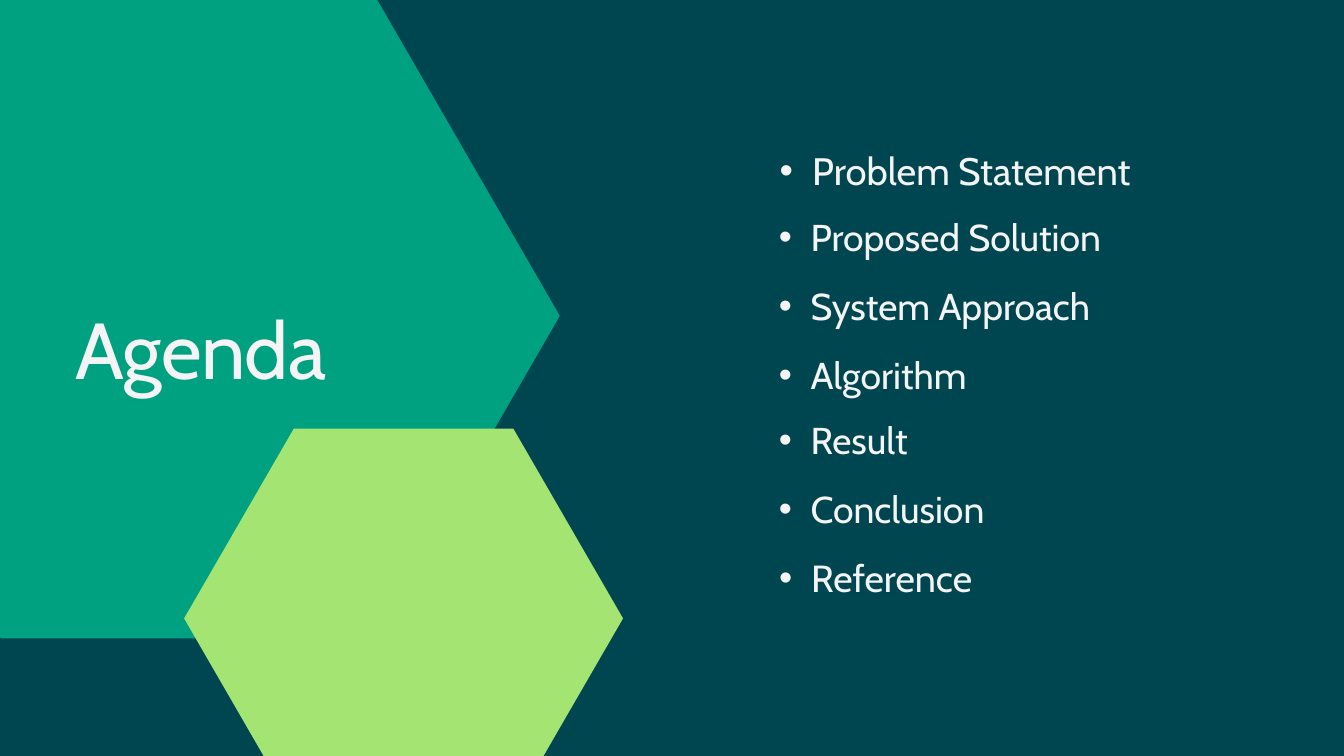
"""Build the agenda slide: two hexagons, a title and a bulleted list of topics."""
from lxml import etree
from pptx import Presentation
from pptx.dml.color import RGBColor
from pptx.enum.text import MSO_ANCHOR, MSO_AUTO_SIZE, PP_ALIGN
from pptx.oxml.ns import qn
from pptx.util import Cm, Pt

TOP = MSO_ANCHOR.TOP
LEFT = PP_ALIGN.LEFT
GROW = MSO_AUTO_SIZE.SHAPE_TO_FIT_TEXT

DARK, GREEN, LIME, WHITE = "004651", "00A181", "A4E473", "F4F4F4"
HEXAGON_CORNERS = [(1, 0.5), (0.75, 1), (0.25, 1), (0, 0.5), (0.25, 0), (0.75, 0)]
HEXAGONS = [
    (-7.01, -0.25, 28.17, 24.38, GREEN),
    (6.96, 16.2, 16.59, 14.35, LIME),
]
TOPICS = [
    ("Problem Statement", 5.28, 41),
    ("Proposed Solution", 7.82, 40),
    ("System Approach", 10.41, 40),
    ("Algorithm", 13.03, 40),
    ("Result", 15.49, 40),
    ("Conclusion", 18.08, 40),
    ("Reference", 20.68, 40.4),
]


def color(value):
    """Turn a hex string into a colour."""
    return RGBColor.from_string(value)


def write_text(shape, text, size, line_spacing):
    """Put one formatted paragraph into a shape and return it."""
    frame = shape.text_frame
    frame_format = {
        "margin_left": 0, "margin_top": 0, "margin_right": 0, "margin_bottom": 0,
        "word_wrap": True, "auto_size": GROW, "vertical_anchor": TOP,
    }
    for name, value in frame_format.items():
        setattr(frame, name, value)
    paragraph = frame.paragraphs[0]
    paragraph_format = {
        "alignment": LEFT, "line_spacing": Pt(line_spacing), "space_before": Pt(0),
    }
    for name, value in paragraph_format.items():
        setattr(paragraph, name, value)
    run = paragraph.add_run()
    run.text = text
    for name, value in {"name": "Cabin", "size": Pt(size)}.items():
        setattr(run.font, name, value)
    run.font.color.rgb = color(WHITE)
    return paragraph


presentation = Presentation()
presentation.slide_width = Cm(50.8)
presentation.slide_height = Cm(50.8 * 9 / 16)
slide = presentation.slides.add_slide(presentation.slide_layouts[5])
slide.background.fill.solid()
slide.background.fill.fore_color.rgb = color(DARK)

for left, top, width, height, fill in HEXAGONS:
    points = [(Cm(left + x * width), Cm(top + y * height)) for x, y in HEXAGON_CORNERS]
    builder = slide.shapes.build_freeform(*points[0])
    builder.add_line_segments(points[1:], close=True)
    hexagon = builder.convert_to_shape()
    hexagon.shadow.inherit = False
    hexagon.fill.solid()
    hexagon.fill.fore_color.rgb = color(fill)
    hexagon.line.fill.background()

title = slide.shapes.title
title_place = {"left": Cm(2.84), "top": Cm(11.33), "width": Cm(12.4), "height": Cm(3.58)}
for name, value in title_place.items():
    setattr(title, name, value)
heading = write_text(title, "Agenda", 85, 102)
heading.runs[0].font._element.set("spc", "-80")
slide.shapes._spTree.append(title._element)

for topic, top, size in TOPICS:
    box = slide.shapes.add_textbox(Cm(28.24), Cm(top), Cm(16.97), Cm(1.88))
    paragraph = write_text(box, topic, size, size * 1.4)
    paragraph.level = 1
    properties = paragraph._p.get_or_add_pPr()
    indent = Cm(size * 0.03)
    properties.set("marL", str(2 * indent))
    properties.set("indent", str(-indent))
    etree.SubElement(properties, qn("a:buFont"), typeface="Arial")
    etree.SubElement(properties, qn("a:buChar"), char="•")

presentation.save("out.pptx")
